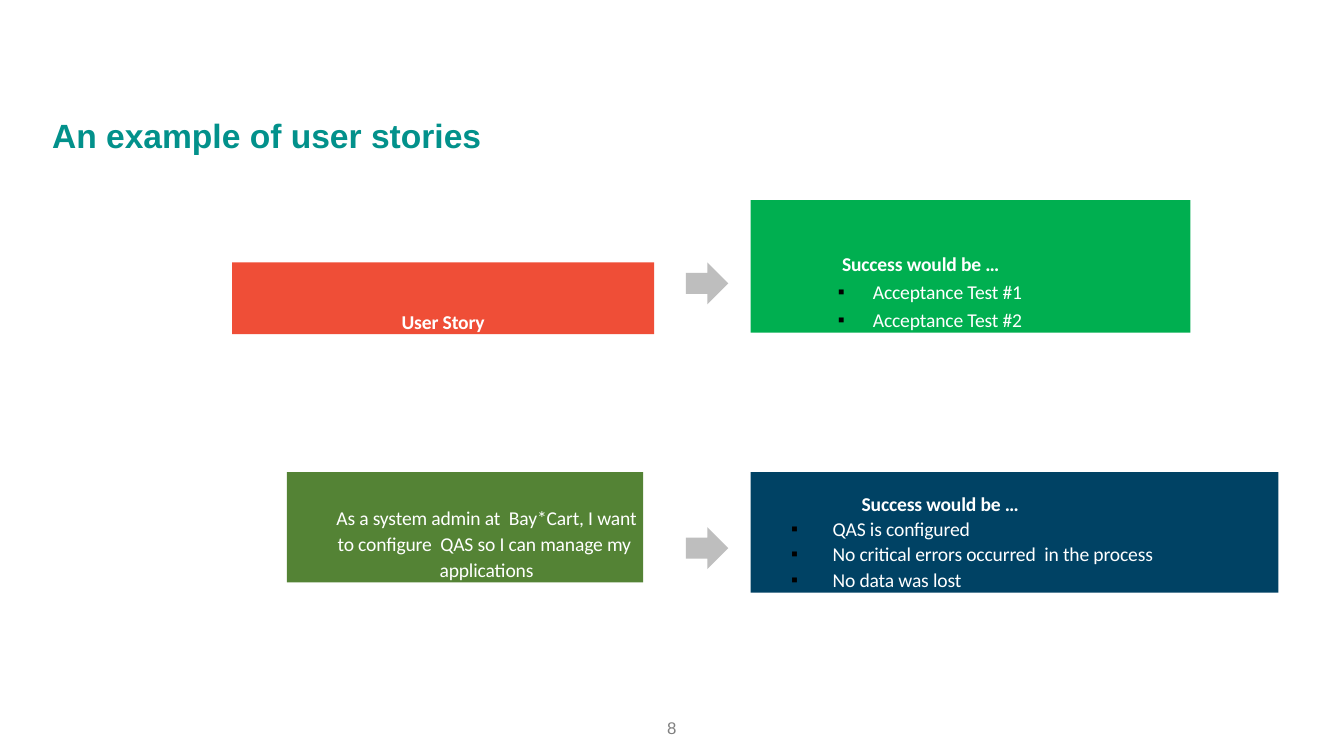
"""Build a slide that pairs user stories with their acceptance tests."""
from lxml import etree
from pptx import Presentation
from pptx.dml.color import RGBColor
from pptx.enum.shapes import MSO_SHAPE
from pptx.enum.text import MSO_ANCHOR, PP_ALIGN
from pptx.oxml.ns import qn
from pptx.util import Pt

RECT, ARROW = MSO_SHAPE.RECTANGLE, MSO_SHAPE.RIGHT_ARROW
TOP = MSO_ANCHOR.TOP
LEFT, CENTER = PP_ALIGN.LEFT, PP_ALIGN.CENTER


def rgb(value):
    return RGBColor.from_string(value)


def add_block(kind, box, color):
    s = slide.shapes.add_shape(kind, *[Pt(v) for v in box])
    s.shadow.inherit = False
    s.fill.solid()
    s.fill.fore_color.rgb = rgb(color)
    s.line.fill.background()
    tf = s.text_frame
    tf.word_wrap = True
    tf.vertical_anchor = TOP
    tf.margin_left = tf.margin_right = tf.margin_bottom = 0
    return tf


prs = Presentation()
prs.slide_width, prs.slide_height = Pt(720), Pt(405)
slide = prs.slides.add_slide(prs.slide_layouts[5])

title = slide.shapes.title
title.left, title.top, title.width, title.height = Pt(20.7), Pt(54.4), Pt(474.5), Pt(21.6)
tf = title.text_frame
tf.text = "An example of user stories"
tf.vertical_anchor = TOP
tf.margin_left = tf.margin_top = tf.margin_right = tf.margin_bottom = Pt(7.2)
p = tf.paragraphs[0]
p.alignment = LEFT
font = p.runs[0].font
font.name, font.size, font.bold = "Arial", Pt(18), True
font.color.rgb = rgb("02918B")

stories = [
    ((124.4, 140.6, 226, 38.4), "EF4E37", 25.5, 0, 1, True, "User Story"),
    ((153.7, 252.9, 190.9, 59.2), "548335", 17, 23, 1.1, False,
     "As a system admin at  Bay*Cart, I want to configure  QAS so I can manage my  applications"),
]
for box, color, inset, indent, spacing, bold, text in stories:
    tf = add_block(RECT, box, color)
    tf.margin_top = Pt(inset)
    tf.text = text
    p = tf.paragraphs[0]
    p.alignment = CENTER
    p.line_spacing = spacing
    p._p.get_or_add_pPr().set("marL", str(Pt(indent)))
    r = p.runs[0]
    r.font.name, r.font.size, r.font.bold = "Calibri", Pt(10.5), bold
    r.font.color.rgb = rgb("FFFFFF")
    r._r.get_or_add_rPr().set("spc", "-5")

criteria = [
    ((402.1, 107.2, 235.6, 71.1), "00AF50", 27.8, 49, 65.5, 18.7, 2.4,
     ["Acceptance Test #1", "Acceptance Test #2"]),
    ((402.1, 252.9, 282.8, 64.6), "004264", 10.5, 59.5, 44, 22.3, 1,
     ["QAS is configured", "No critical errors occurred  in the process", "No data was lost"]),
]
for box, color, inset, head_indent, indent, hanging, gap, tests in criteria:
    tf = add_block(RECT, box, color)
    tf.margin_top = Pt(inset)
    tf.text = "\n".join(["Success would be …"] + tests)
    for i, p in enumerate(tf.paragraphs):
        p.alignment = LEFT
        pPr = p._p.get_or_add_pPr()
        pPr.set("marL", str(Pt(indent if i else head_indent)))
        if i:
            p.space_before = Pt(gap)
            pPr.set("indent", str(-Pt(hanging)))
            clr = etree.SubElement(pPr, qn("a:buClr"))
            etree.SubElement(clr, qn("a:srgbClr"), val="000000")
            etree.SubElement(pPr, qn("a:buFont"), typeface="Arial")
            etree.SubElement(pPr, qn("a:buChar"), char="▪")
        r = p.runs[0]
        r.font.name, r.font.size, r.font.bold = "Calibri", Pt(10.5), i == 0
        r.font.color.rgb = rgb("FFFFFF")
        r._r.get_or_add_rPr().set("spc", "-5")

for top in (140.6, 282.4):
    add_block(ARROW, (367.4, top, 22.8, 22.5), "BEBEBE")

number = slide.shapes.add_textbox(Pt(342.2), Pt(381), Pt(35.5), Pt(18))
tf = number.text_frame
tf.word_wrap = True
tf.text = "8"
p = tf.paragraphs[0]
p.alignment = CENTER
font = p.runs[0].font
font.name, font.size = "Arial", Pt(9)
font.color.rgb = rgb("808080")

prs.save("out.pptx")
